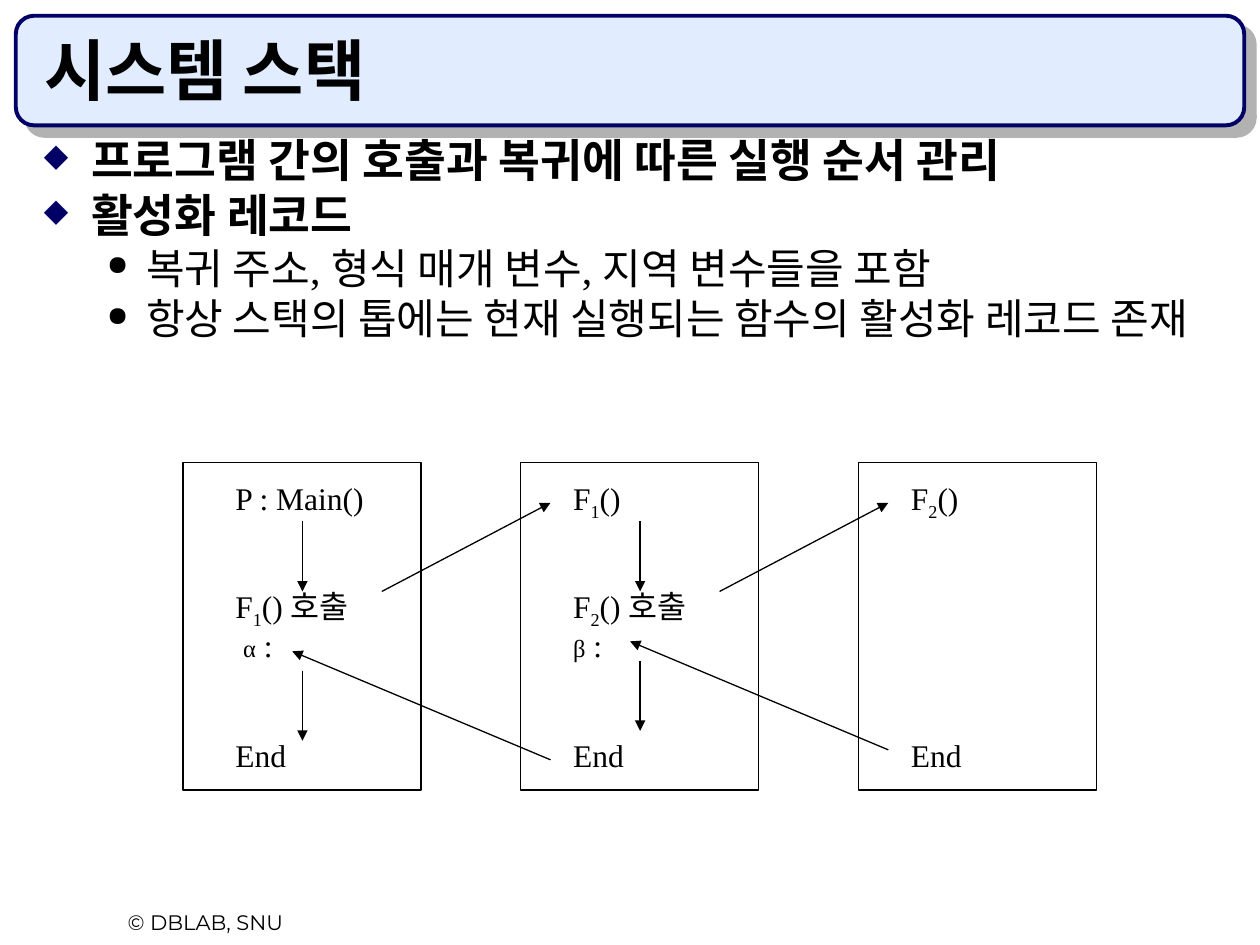
"""Build the system stack slide: activation records and the call and return flow."""
from lxml import etree
from pptx import Presentation
from pptx.dml.color import RGBColor
from pptx.enum import shapes, text
from pptx.oxml import ns
from pptx.util import Pt

SERIF = "Times New Roman"
BLACK, NAVY = "000000", "000066"


def paint(fill, colour):
    """Make a fill, line fill or font fill solid."""
    fill.solid()
    fill.fore_color.rgb = RGBColor.from_string(colour)


def write(paragraph, wording, size, before=0, bold=False, font=SERIF):
    """Write runs parted by bars; digits alone are subscripts, Greek letters smaller."""
    paragraph.space_before = Pt(before)
    for part in wording.split("|"):
        run = paragraph.add_run()
        run.text = part
        run.font.name, run.font.bold = font, bold
        run.font.size = Pt(14 if part in ("α", "β") else size)
        paint(run.font.fill, BLACK)
        if part.isdigit():
            run.font._element.set("baseline", "-25000")


deck = Presentation()
deck.slide_width, deck.slide_height = Pt(720), Pt(540)
slide = deck.slides.add_slide(deck.slide_layouts[5])

title = slide.shapes.title
title.left, title.top, title.width, title.height = Pt(18), Pt(18), Pt(678), Pt(48)
title.text_frame.auto_size = text.MSO_AUTO_SIZE.NONE
title.text_frame.vertical_anchor = text.MSO_ANCHOR.BOTTOM
heading = title.text_frame.paragraphs[0]
heading.alignment = text.PP_ALIGN.LEFT
write(heading, "시스템 스택", 38, bold=True)

banner = slide.shapes.add_shape(
    shapes.MSO_SHAPE.ROUNDED_RECTANGLE, Pt(9), Pt(9), Pt(702), Pt(62.64))
banner.adjustments[0] = 0.167
paint(banner.fill, "E1ECFF")
paint(banner.line.fill, NAVY)
banner.line.width = Pt(2.25)
banner.shadow.inherit = False
cast = etree.SubElement(
    banner.element.spPr.find(ns.qn("a:effectLst")), ns.qn("a:outerShdw"),
    dist=str(Pt(8.5)), dir="2700000", algn="ctr", rotWithShape="0")
etree.SubElement(cast, ns.qn("a:srgbClr"), val="B2B2B2")
title.element.addprevious(banner.element)

copyright_line = slide.shapes.add_textbox(Pt(30.24), Pt(516.24), Pt(174.24), Pt(21.6))
copyright_line.text_frame.word_wrap = True
notice = copyright_line.text_frame.paragraphs[0]
notice.alignment = text.PP_ALIGN.CENTER
write(notice, "© DBLAB, SNU", 12, before=7.5, font="Montserrat")

points = slide.shapes.add_textbox(Pt(18), Pt(78), Pt(678), Pt(420)).text_frame
points.word_wrap = True
outline = [
    (0, "프로그램 간의 호출과 복귀에 따른 실행 순서 관리"),
    (0, "활성화 레코드"),
    (1, "복귀 주소, 형식 매개 변수, 지역 변수들을 포함"),
    (1, "항상 스택의 톱에는 현재 실행되는 함수의 활성화 레코드 존재"),
]
levels = [
    dict(size=26, before=6.5, bold=True, margin=27, hang=27, mark="◆", tint=NAVY, scale=70),
    dict(size=24, before=6, bold=False, margin=58.5, hang=22.5, mark="●", tint=BLACK, scale=65),
]
for number, (level, wording) in enumerate(outline):
    point = points.add_paragraph() if number else points.paragraphs[0]
    look = levels[level]
    point.level = level
    point.line_spacing = 0.8
    write(point, wording, look["size"], look["before"], look["bold"])
    props = point._p.get_or_add_pPr()
    props.set("marL", str(Pt(look["margin"])))
    props.set("indent", str(-Pt(look["hang"])))
    tint = etree.SubElement(props, ns.qn("a:buClr"))
    etree.SubElement(tint, ns.qn("a:srgbClr"), val=look["tint"])
    etree.SubElement(props, ns.qn("a:buSzPct"), val=str(look["scale"] * 1000))
    etree.SubElement(props, ns.qn("a:buChar"), char=look["mark"])

pitch = 193
row_tops = [270, 332, 354.24, 417]
functions = [
    ["P : Main()", "F|1|() 호출", " |α| :", "End"],
    ["F|1|()", "F|2|() 호출", "β| :", "End"],
    ["F|2|()", "", "", "End"],
]
for column, steps in enumerate(functions):
    shift = column * pitch
    frame = slide.shapes.add_shape(
        shapes.MSO_SHAPE.RECTANGLE, Pt(104.6 + shift), Pt(264.24), Pt(136), Pt(187.2))
    frame.fill.background()
    paint(frame.line.fill, BLACK)
    frame.line.width = Pt(0.75)
    frame.shadow.inherit = False
    for top, step in zip(row_tops, steps):
        if step:
            label = slide.shapes.add_textbox(
                Pt(127.4 + shift), Pt(top), Pt(102.24), Pt(31.7 if "F|" in step else 28.8))
            label.text_frame.word_wrap = True
            label.text_frame.auto_size = text.MSO_AUTO_SIZE.SHAPE_TO_FIT_TEXT
            write(label.text_frame.paragraphs[0], step, 18, before=11.2)

for column in range(2):
    shift, lift = column * pitch, column * 5.7
    flows = [
        (172.8, 298, 172.8, 338),
        (218.2, 338, 314.6, 287.3),
        (314.6, 434.2 - lift, 167, 372.2 - lift),
        (172.8, 383.3 - lift, 172.8, 423.3 - lift),
    ]
    for x1, y1, x2, y2 in flows:
        flow = slide.shapes.add_connector(
            shapes.MSO_CONNECTOR.STRAIGHT, Pt(x1 + shift), Pt(y1), Pt(x2 + shift), Pt(y2))
        paint(flow.line.fill, BLACK)
        flow.line.width = Pt(0.75)
        etree.SubElement(flow.line._get_or_add_ln(), ns.qn("a:tailEnd"), type="triangle")
        etree.SubElement(flow.element.spPr, ns.qn("a:effectLst"))

deck.save("out.pptx")
